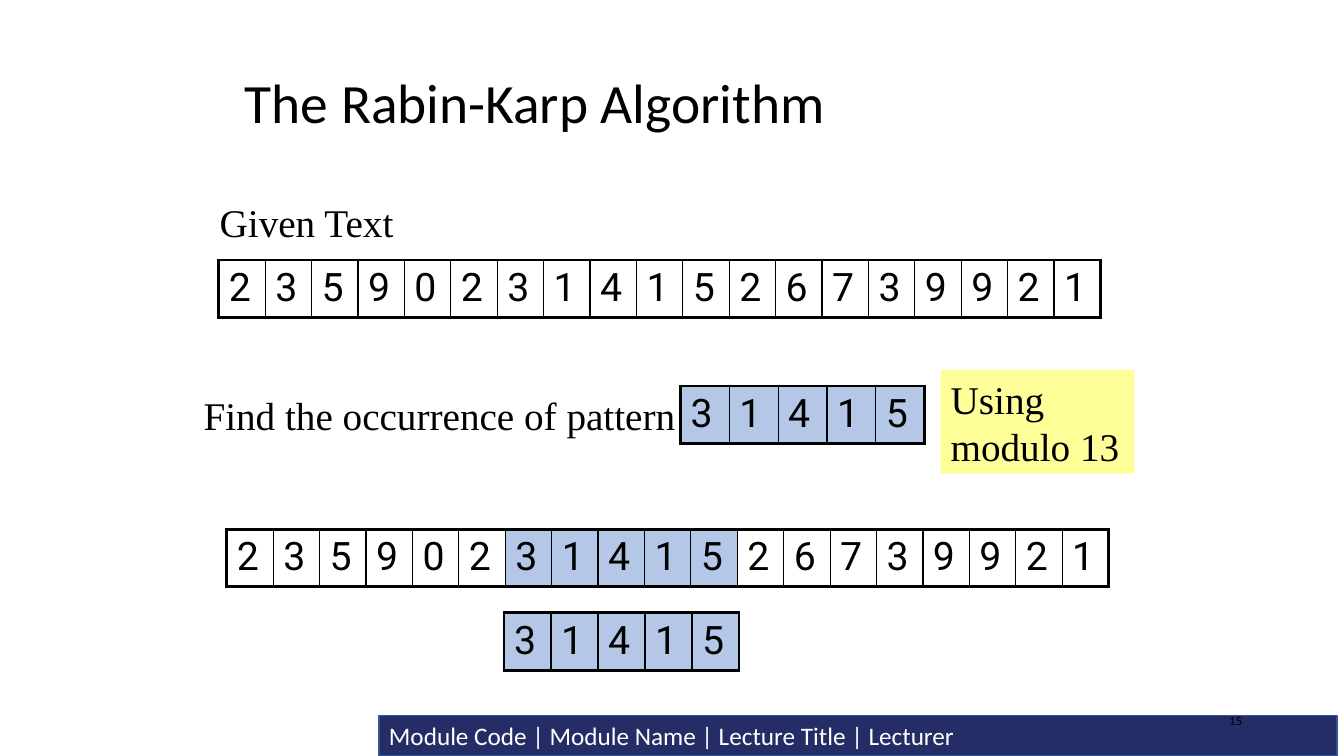
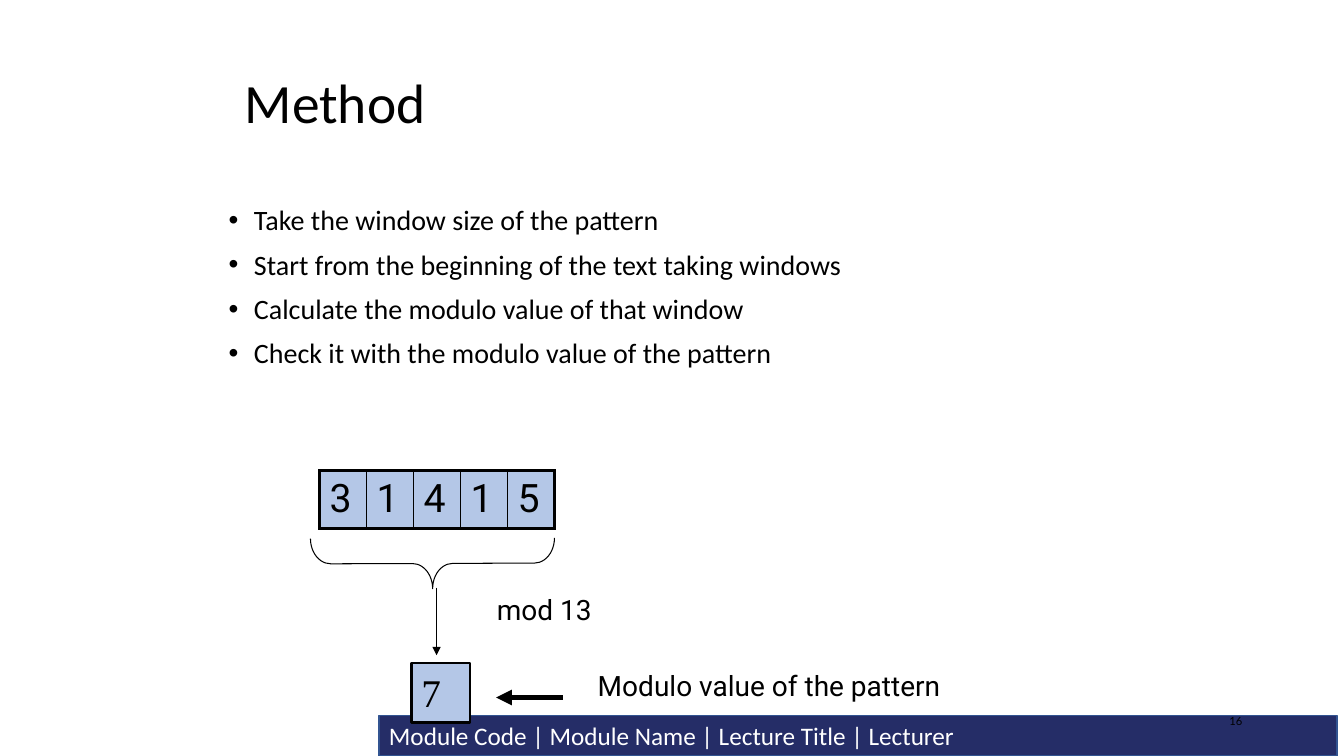
from dataclasses import dataclass

from lxml.etree import SubElement
from pptx import Presentation
from pptx.dml.color import RGBColor
from pptx.enum.shapes import MSO_CONNECTOR, MSO_SHAPE
from pptx.enum.text import MSO_ANCHOR, PP_ALIGN
from pptx.oxml.ns import qn
from pptx.util import Inches, Pt


@dataclass(frozen=True)
class Theme:
    black: str = "000000"
    white: str = "FFFFFF"
    navy: str = "252D67"
    navy_edge: str = "325491"
    match: str = "B4C7E7"
    note: str = "FFFF99"
    sans: str = "Calibri"
    serif: str = "Times New Roman"
    digits: str = "Roboto"
    numbering: str = "Lato"
    title_size: float = 39.6
    large_size: float = 28
    body_size: float = 20
    footer_size: float = 18
    number_size: float = 8
    thick: float = 2.25
    thin: float = 1


THEME = Theme()
TEXT = "2359023141526739921"
PATTERN = "31415"
ROW_HEIGHT = 0.57
FOOTER = "Module Code | Module Name | Lecture Title | Lecturer"
STEPS = [
    "Take the window size of the pattern",
    "Start from the beginning of the text taking windows",
    "Calculate the modulo value of that window",
    "Check it with the modulo value of the pattern",
]


def rgb(color):
    return RGBColor.from_string(color)


def write(frame, text, font=THEME.serif, size=THEME.large_size, color=THEME.black,
          align=PP_ALIGN.LEFT, anchor=MSO_ANCHOR.TOP, line_spacing=1.0,
          space_before=0, bulleted=False):
    frame.word_wrap = True
    frame.vertical_anchor = anchor
    frame.text = text
    for paragraph in frame.paragraphs:
        paragraph.alignment = align
        paragraph.line_spacing = line_spacing
        paragraph.space_before = Pt(space_before)
        paragraph.font.name = font
        paragraph.font.size = Pt(size)
        paragraph.font.color.rgb = rgb(color)
        for run in paragraph.runs:
            run.font.name = font
            run.font.size = Pt(size)
            run.font.color.rgb = rgb(color)
        if bulleted:
            properties = paragraph._p.get_or_add_pPr()
            properties.set("marL", str(Inches(0.25)))
            properties.set("indent", str(Inches(-0.25)))
            bullet_font = SubElement(properties, qn("a:buFont"))
            bullet_font.set("typeface", "Arial")
            SubElement(properties, qn("a:buChar")).set("char", "•")


def add_label(slide, text, left, top, width, height, **style):
    label = slide.shapes.add_textbox(
        Inches(left), Inches(top), Inches(width), Inches(height))
    write(label.text_frame, text, **style)


def add_figure(slide, preset, left, top, width, height,
               fill=None, edge=None, edge_width=1):
    figure = slide.shapes.add_shape(
        preset, Inches(left), Inches(top), Inches(width), Inches(height))
    figure.shadow.inherit = False
    if fill:
        figure.fill.solid()
        figure.fill.fore_color.rgb = rgb(fill)
    else:
        figure.fill.background()
    if edge:
        figure.line.color.rgb = rgb(edge)
        figure.line.width = Pt(edge_width)
    else:
        figure.line.fill.background()
    return figure


def add_arrow(slide, start, end, width):
    arrow = slide.shapes.add_connector(
        MSO_CONNECTOR.STRAIGHT, *map(Inches, (*start, *end)))
    arrow.line.color.rgb = rgb(THEME.black)
    arrow.line.width = Pt(width)
    SubElement(arrow.line._get_or_add_ln(), qn("a:tailEnd")).set("type", "triangle")
    SubElement(arrow._element.spPr, qn("a:effectLst"))


def set_border(cell, side, width):
    border = SubElement(cell._tc.get_or_add_tcPr(), qn(f"a:{side}"))
    border.set("w", str(Pt(width)))
    fill = SubElement(border, qn("a:solidFill"))
    SubElement(fill, qn("a:srgbClr")).set("val", THEME.black)


def add_digit_row(slide, digits, left, top, width, matched=range(0)):
    table = slide.shapes.add_table(
        1, len(digits), Inches(left), Inches(top),
        Inches(width), Inches(ROW_HEIGHT)).table
    table.first_row = False
    table.horz_banding = False
    last = len(digits) - 1
    for index, digit in enumerate(digits):
        table.columns[index].width = Inches(width / len(digits))
        cell = table.cell(0, index)
        write(cell.text_frame, digit, font=THEME.digits)
        set_border(cell, "lnL", THEME.thick if index == 0 else THEME.thin)
        set_border(cell, "lnR", THEME.thick if index == last else THEME.thin)
        set_border(cell, "lnT", THEME.thick)
        set_border(cell, "lnB", THEME.thick)
        cell.fill.solid()
        cell.fill.fore_color.rgb = rgb(THEME.match if index in matched else THEME.white)


def add_pattern(slide, left, top, width=2.33):
    add_digit_row(slide, PATTERN, left, top, width, range(len(PATTERN)))


def add_base(deck, title, number):
    slide = deck.slides.add_slide(deck.slide_layouts[6])
    footer = add_figure(slide, MSO_SHAPE.RECTANGLE, 3.76, 7.1, 9.5, 0.4,
                        THEME.navy, THEME.navy_edge)
    write(footer.text_frame, FOOTER, font=THEME.sans, size=THEME.footer_size,
          color=THEME.white, anchor=MSO_ANCHOR.MIDDLE)
    add_label(slide, title, 2.33, 0.67, 8.5, 0.75, font=THEME.sans,
              size=THEME.title_size, anchor=MSO_ANCHOR.MIDDLE, line_spacing=0.9)
    add_label(slide, str(number), 9.42, 6.95, 3, 0.4, font=THEME.numbering,
              size=THEME.number_size, align=PP_ALIGN.RIGHT, anchor=MSO_ANCHOR.MIDDLE)
    return slide


def build_algorithm(deck):
    slide = add_base(deck, "The Rabin-Karp Algorithm", 15)
    add_label(slide, "Given Text", 2.08, 1.92, 2.75, ROW_HEIGHT)
    add_digit_row(slide, TEXT, 2.17, 2.58, 8.75)
    add_label(slide, "Find the occurrence of pattern", 1.92, 3.83, 4.92, ROW_HEIGHT)
    add_pattern(slide, 6.75, 3.83, 2.42)
    found = TEXT.index(PATTERN)
    add_digit_row(slide, TEXT, 2.25, 5.25, 8.75, range(found, found + len(PATTERN)))
    add_pattern(slide, 5, 6.08)
    modulo_note = add_figure(slide, MSO_SHAPE.RECTANGLE, 9.33, 3.67, 1.92, 1.03, THEME.note)
    write(modulo_note.text_frame, "Using modulo 13")


def build_method(deck):
    slide = add_base(deck, "Method", 16)
    add_label(slide, "\n".join(STEPS), 2.17, 2, 8.33, 2.25, font=THEME.sans,
              size=THEME.body_size, line_spacing=0.9, space_before=10, bulleted=True)
    add_pattern(slide, 3.17, 4.67)
    brace = add_figure(slide, MSO_SHAPE.RIGHT_BRACE, 4.04, 4.38, 0.5, 2.42,
                       edge=THEME.black, edge_width=0.75)
    brace.rotation = 89.8
    brace.adjustments[0] = 0.4
    add_arrow(slide, (4.33, 5.83), (4.33, 6.5), 0.75)
    remainder = add_figure(slide, MSO_SHAPE.RECTANGLE, 4.08, 6.58, 0.58, 0.59,
                           THEME.match, THEME.black, 1.75)
    write(remainder.text_frame, "7")
    caption = dict(font=THEME.digits, size=THEME.body_size)
    add_label(slide, "mod 13", 4.83, 5.83, 2.25, 0.43, **caption)
    add_label(slide, "Modulo value of the pattern", 5.83, 6.58, 4.58, 0.43, **caption)
    add_arrow(slide, (5.58, 6.92), (4.92, 6.92), 3.75)


def main():
    deck = Presentation()
    deck.slide_width = Inches(13.33)
    deck.slide_height = Inches(7.5)
    build_algorithm(deck)
    build_method(deck)
    deck.save("out.pptx")


if __name__ == "__main__":
    main()
